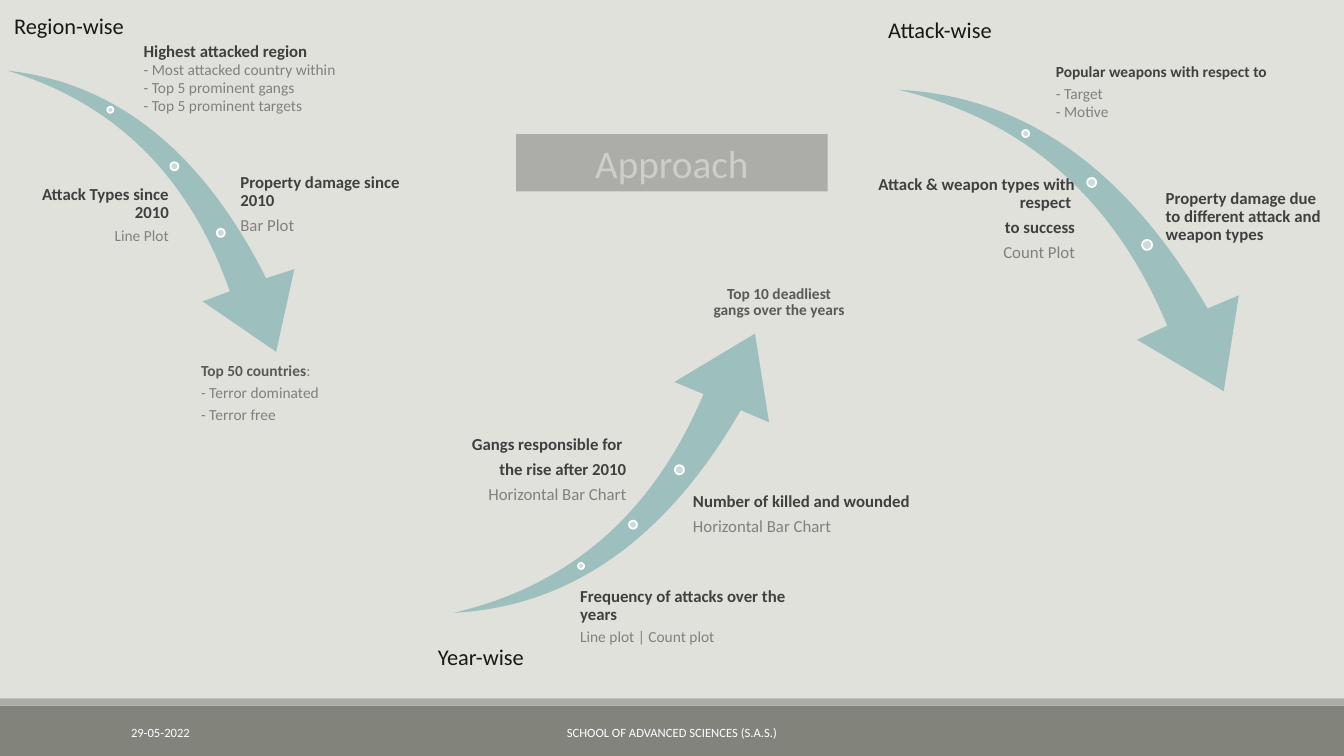
import pptx
import pptx.dml.color
import pptx.enum.shapes
import pptx.enum.text
import pptx.oxml
import pptx.oxml.ns
import pptx.util

RGB = pptx.dml.color.RGBColor
SHAPE = pptx.enum.shapes.MSO_SHAPE
ALIGN = pptx.enum.text.PP_ALIGN
ANCHOR = pptx.enum.text.MSO_ANCHOR

BACKGROUND = RGB(0xE1, 0xE1, 0xDB)
FOOTER = RGB(0x82, 0x84, 0x7C)
BAND = RGB(0xAC, 0xAD, 0xA8)
ARROW = RGB(0x9D, 0xBF, 0xBE)
DOT = RGB(0xCB, 0xDB, 0xDB)
WHITE = RGB(0xFF, 0xFF, 0xFF)
TITLE = RGB(0xCD, 0xCE, 0xC8)
INK = RGB(0x18, 0x18, 0x14)
DARK = RGB(0x40, 0x40, 0x40)
MEDIUM = RGB(0x59, 0x59, 0x59)
GREY = RGB(0x80, 0x80, 0x80)

# Text styles: size, colour, bold, space before the paragraph
STYLES = {
    "title": (28, TITLE, False, 0),
    "footer": (9, WHITE, False, 0),
    "branch": (16, INK, False, 0),
    "head": (12, DARK, True, 5),
    "small head": (11, DARK, True, 4),
    "end": (11, MEDIUM, True, 4),
    "plot": (12, GREY, False, 5),
    "small plot": (11, GREY, False, 4),
    "item": (11, GREY, False, 1),
}

# The page is a grid of square cells, ten to the inch
CELL = pptx.util.Inches(0.1)
COLUMNS, ROWS = 133.33, 75

deck = pptx.Presentation()
deck.slide_width, deck.slide_height = int(COLUMNS * CELL), ROWS * CELL
page = deck.slides.add_slide(deck.slide_layouts[5])
page.background.fill.solid()
page.background.fill.fore_color.rgb = BACKGROUND


def write(box, lines, align, anchor, inset=0.15, spacing=0.9):
    """Fill a box with lines, each a list of (style, text) spans."""
    frame = box.text_frame
    settings = {"word_wrap": True, "vertical_anchor": anchor,
                "auto_size": pptx.enum.text.MSO_AUTO_SIZE.NONE}
    for side in ("left", "right", "top", "bottom"):
        settings["margin_" + side] = int(inset * CELL)
    for name, value in settings.items():
        setattr(frame, name, value)
    for index, spans in enumerate(lines):
        para = frame.add_paragraph() if index else frame.paragraphs[0]
        para.alignment, para.line_spacing = align, spacing
        para.space_before = pptx.util.Pt(STYLES[spans[0][0]][3] if index else 0)
        for style, text in spans:
            size, colour, bold, _ = STYLES[style]
            span = para.add_run()
            span.text = text
            span.font.color.rgb = colour
            for name, value in {"name": "Calibri", "size": pptx.util.Pt(size), "bold": bold}.items():
                setattr(span.font, name, value)


def paint(shape, colour, line=None):
    """Give a shape a flat fill and an optional outline."""
    shape.shadow.inherit = False
    shape.fill.solid()
    shape.fill.fore_color.rgb = colour
    if line is None:
        shape.line.fill.background()
    else:
        shape.line.color.rgb = line
        shape.line.width = pptx.util.Pt(1.25)


# Footer bars, moved to the layout
for top, height, colour in ((70, 5, FOOTER), (69.3, 0.7, BAND)):
    bar = page.shapes.add_shape(SHAPE.RECTANGLE, 0, int(top * CELL), deck.slide_width,
                                int(height * CELL))
    paint(bar, colour)
    page.slide_layout.shapes.element.append(bar.element)

# Footer texts
for left, width, align, text in (
    (40.8, 51.7, ALIGN.CENTER, "SCHOOL OF ADVANCED SCIENCES (S.A.S.)"),
    (12.5, 26, ALIGN.LEFT, "29-05-2022"),
):
    box = page.shapes.add_textbox(*(int(n * CELL) for n in (left, 71.5, width, 2.3)))
    write(box, [[("footer", text)]], align, ANCHOR.MIDDLE, 0.5, 1)

# Title
title = page.shapes.title
for name, cells in {"left": 51.2, "top": 13.3, "width": 30.9, "height": 5.7}.items():
    setattr(title, name, int(cells * CELL))
title.fill.solid()
title.fill.fore_color.rgb = BAND
write(title, [[("title", "Approach")]], ALIGN.CENTER, ANCHOR.MIDDLE, spacing=1)

# Curved arrows: outer curve (four points), head (four corners), inner curve back
# to the tail (two control points); then dots as centre column, centre row, size
arrows = (
    ([(0.7, 7), (11.6, 8.2), (20.1, 15.1), (26.4, 27.6),
      (29.2, 26.7), (27.4, 34.9), (20.1, 29.9), (22.8, 28.9), (18.8, 17.5), (11.4, 10.2)],
     [(10.95, 10.9, 0.6), (17.3, 16.5, 0.8), (21.9, 23.1, 0.8)]),
    ([(45, 60.8), (56.6, 60.2), (66.1, 53.5), (73.5, 40.7),
      (76.3, 41.9), (74.9, 33.1), (66.9, 37.9), (69.8, 39.1), (64.8, 50.9), (56.6, 58.1)],
     [(57.65, 56.15, 0.6), (62.8, 52.05, 0.8), (67.4, 46.6, 0.9)]),
    ([(89.1, 8.9), (101.6, 9.5), (111.8, 16.8), (119.8, 30.6),
      (122.9, 29.3), (121.4, 38.8), (112.8, 33.7), (115.8, 32.3), (110.5, 19.6), (101.5, 11.8)],
     [(101.75, 13.25, 0.7), (108.3, 18.1, 0.9), (113.8, 24.3, 1)]),
)
for points, dots in arrows:
    outline = [(int(x * CELL), int(y * CELL)) for x, y in points + points[:1]]
    builder = page.shapes.build_freeform(*outline[0])
    builder.add_line_segments(outline[1:], close=True)
    arrow = builder.convert_to_shape()
    paint(arrow, ARROW)
    # Merge the three segments of each side into one Bezier curve
    segments = list(arrow.element.iter(pptx.oxml.ns.qn("a:lnTo")))
    for first in (0, 7):
        curve = pptx.oxml.parse_xml("<a:cubicBezTo %s/>" % pptx.oxml.ns.nsdecls("a"))
        segments[first].addprevious(curve)
        for segment in segments[first:first + 3]:
            curve.append(segment[0])
            segment.getparent().remove(segment)
    for x, y, size in dots:
        place = (x - size / 2, y - size / 2, size, size)
        paint(page.shapes.add_shape(SHAPE.OVAL, *(int(n * CELL) for n in place)), DOT, WHITE)

# Branch names
for left, top, width, name in ((-1, 1.4, 15.7, "Region-wise"), (39.4, 64, 16.6, "Year-wise"),
                               (84.3, 1.8, 17.9, "Attack-wise")):
    box = page.shapes.add_textbox(*(int(n * CELL) for n in (left, top, width, 2.7)))
    write(box, [[("branch", name)]], ALIGN.CENTER, ANCHOR.BOTTOM)

# Callouts around the arrows
callouts = (
    # Region
    ((14.1, 4.1, 21.3, 8.3), ALIGN.LEFT, ANCHOR.TOP,
     [[("head", "Highest attacked region")], [("item", "- Most attacked country within")],
      [("item", "- Top 5 prominent gangs")], [("item", "- Top 5 prominent targets")]]),
    ((1.2, 18.2, 15.7, 6.3), ALIGN.RIGHT, ANCHOR.MIDDLE,
     [[("head", "Attack Types since 2010")], [("small plot", "Line Plot")]]),
    ((23.7, 17, 17.7, 6.6), ALIGN.LEFT, ANCHOR.MIDDLE,
     [[("head", "Property damage since 2010")], [("plot", "Bar Plot")]]),
    ((19.8, 35.7, 14.3, 6.5), ALIGN.LEFT, ANCHOR.BOTTOM,
     [[("end", "Top 50 countries"), ("small plot", ":")],
      [("small plot", "- Terror dominated")], [("small plot", "- Terror free")]]),
    # Year
    ((57.4, 58.05, 22.5, 6.3), ALIGN.LEFT, ANCHOR.MIDDLE,
     [[("head", "Frequency of attacks over the years")],
      [("small plot", "Line plot | Count plot")]]),
    ((41.6, 43, 20.7, 7.3), ALIGN.RIGHT, ANCHOR.MIDDLE,
     [[("head", "Gangs responsible for ")], [("head", "the rise after 2010")],
      [("plot", "Horizontal Bar Chart")]]),
    ((68.6, 48.7, 22.1, 4.7), ALIGN.LEFT, ANCHOR.MIDDLE,
     [[("head", "Number of killed and wounded")], [("plot", "Horizontal Bar Chart")]]),
    ((70.3, 28.2, 14, 3.6), ALIGN.CENTER, ANCHOR.BOTTOM,
     [[("end", "Top 10 deadliest gangs over the years")]]),
    # Attack
    ((104.6, 6.2, 24.4, 6.4), ALIGN.LEFT, ANCHOR.TOP,
     [[("small head", "Popular weapons with respect to")],
      [("small plot", "- Target")], [("item", "- Motive")]]),
    ((84.3, 17.1, 22.5, 9.2), ALIGN.RIGHT, ANCHOR.MIDDLE,
     [[("head", "Attack & weapon types with respect ")], [("head", "to success")],
      [("plot", "Count Plot")]]),
    ((115.5, 17.25, 16.7, 8.5), ALIGN.LEFT, ANCHOR.MIDDLE,
     [[("head", "Property damage due to different attack and weapon types")]]),
)
for place, align, anchor, lines in callouts:
    box = page.shapes.add_textbox(*(int(n * CELL) for n in place))
    write(box, lines, align, anchor)

deck.save("out.pptx")
